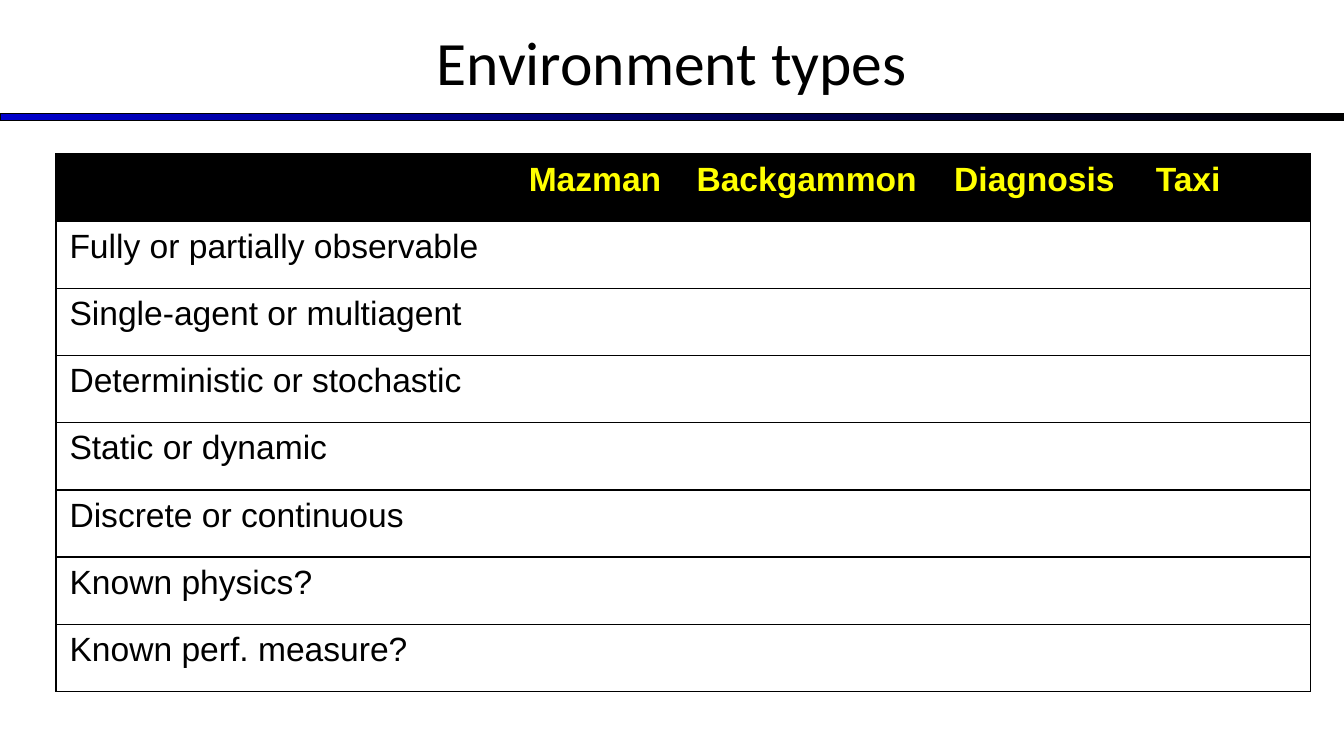
from dataclasses import dataclass

from lxml import etree
from pptx import Presentation
from pptx import util as u
from pptx.dml.color import RGBColor
from pptx.enum import shapes, text
from pptx.oxml import ns


@dataclass(frozen=True)
class Theme:
    ink: str = "000000"
    blue: str = "0000CC"
    paper: str = "FFFFFF"
    accent: str = "FFFF00"
    title_font: str = "Calibri"
    table_font: str = "Arial"
    title_size: float = 33
    table_size: float = 18
    line: float = 0.75


@dataclass(frozen=True)
class Column:
    heading: str
    width: float  # cm


THEME = Theme()
COLUMNS = [
    Column("", 8.68),
    Column("Mazman", 3.17),
    Column("Backgammon", 4.87),
    Column("Diagnosis", 3.81),
    Column("Taxi", 3.17),
]
PROPERTIES = [
    "Fully or partially observable",
    "Single-agent or multiagent",
    "Deterministic or stochastic",
    "Static or dynamic",
    "Discrete or continuous",
    "Known physics?",
    "Known perf. measure?",
]
ROW_HEIGHT = 1.27


def rgb(value: str) -> RGBColor:
    return RGBColor.from_string(value)


def add_run(p, words: str, font: str, size: float, color: str, bold: bool = False) -> None:
    r = p.add_run()
    r.text = words
    r.font.name = font
    r.font.size = u.Pt(size)
    r.font.bold = bold
    r.font.color.rgb = rgb(color)


def set_borders(cell, visible: set[str]) -> None:
    """Draw the named sides (L, R, T, B) and clear the others."""
    tc_pr = cell._tc.get_or_add_tcPr()
    for side in "LRTB":
        ln = etree.SubElement(tc_pr, ns.qn(f"a:ln{side}"), w=str(u.Pt(THEME.line)))
        if side in visible:
            fill = etree.SubElement(ln, ns.qn("a:solidFill"))
            etree.SubElement(fill, ns.qn("a:srgbClr"), val=THEME.ink)
        else:
            etree.SubElement(ln, ns.qn("a:noFill"))


def add_rule(s) -> None:
    sp = s.shapes.add_shape(shapes.MSO_SHAPE.RECTANGLE, 0, u.Cm(2.15), u.Cm(25.4), u.Cm(0.13))
    sp.shadow.inherit = False
    sp.fill.gradient()
    sp.fill.gradient_angle = 0
    for stop, position, color in zip(sp.fill.gradient_stops, (0, 1), (THEME.blue, THEME.ink)):
        stop.position = position
        stop.color.rgb = rgb(color)
    sp.line.color.rgb = rgb(THEME.ink)
    sp.line.width = u.Pt(THEME.line)


def set_title(s, words: str) -> None:
    sp = s.shapes.title
    sp.left, sp.top, sp.width, sp.height = u.Cm(0), u.Cm(-0.05), u.Cm(25.4), u.Cm(2.39)
    tf = sp.text_frame
    tf.auto_size = text.MSO_AUTO_SIZE.NONE
    tf.word_wrap = True
    tf.vertical_anchor = text.MSO_ANCHOR.MIDDLE
    tf.margin_left = tf.margin_right = u.Cm(0.18)
    tf.margin_top = tf.margin_bottom = u.Cm(0.1)
    p = tf.paragraphs[0]
    p.alignment = text.PP_ALIGN.CENTER
    add_run(p, words, THEME.title_font, THEME.title_size, THEME.ink)


def add_environment_table(s) -> None:
    rows = [[c.heading for c in COLUMNS]]
    rows += [[name] + [""] * (len(COLUMNS) - 1) for name in PROPERTIES]
    width = sum(c.width for c in COLUMNS)
    table = s.shapes.add_table(len(rows), len(COLUMNS), u.Cm(1.06), u.Cm(2.91),
                               u.Cm(width), u.Cm(ROW_HEIGHT * len(rows))).table
    table.first_row = table.horz_banding = False
    for column, c in zip(table.columns, COLUMNS):
        column.width = u.Cm(c.width)

    last = len(COLUMNS) - 1
    for i, row in enumerate(rows):
        table.rows[i].height = u.Cm(ROW_HEIGHT)
        header = i == 0
        for j, words in enumerate(row):
            cell = table.cell(i, j)
            # Horizontal rules everywhere, vertical ones only at the outer edges
            sides = {"T", "B"}
            if j == 0:
                sides.add("L")
            if j == last:
                sides.add("R")
            set_borders(cell, sides)
            cell.fill.solid()
            cell.fill.fore_color.rgb = rgb(THEME.ink if header else THEME.paper)
            p = cell.text_frame.paragraphs[0]
            if words:
                add_run(p, words, THEME.table_font, THEME.table_size,
                        THEME.accent if header else THEME.ink, header)


def main() -> None:
    prs = Presentation()
    prs.slide_width, prs.slide_height = u.Cm(25.4), u.Cm(14.29)
    s = prs.slides.add_slide(prs.slide_layouts[5])

    # Heading with the gradient rule beneath it
    add_rule(s)
    set_title(s, "Environment types")

    # Environments against their properties
    add_environment_table(s)
    prs.save("out.pptx")


if __name__ == "__main__":
    main()
